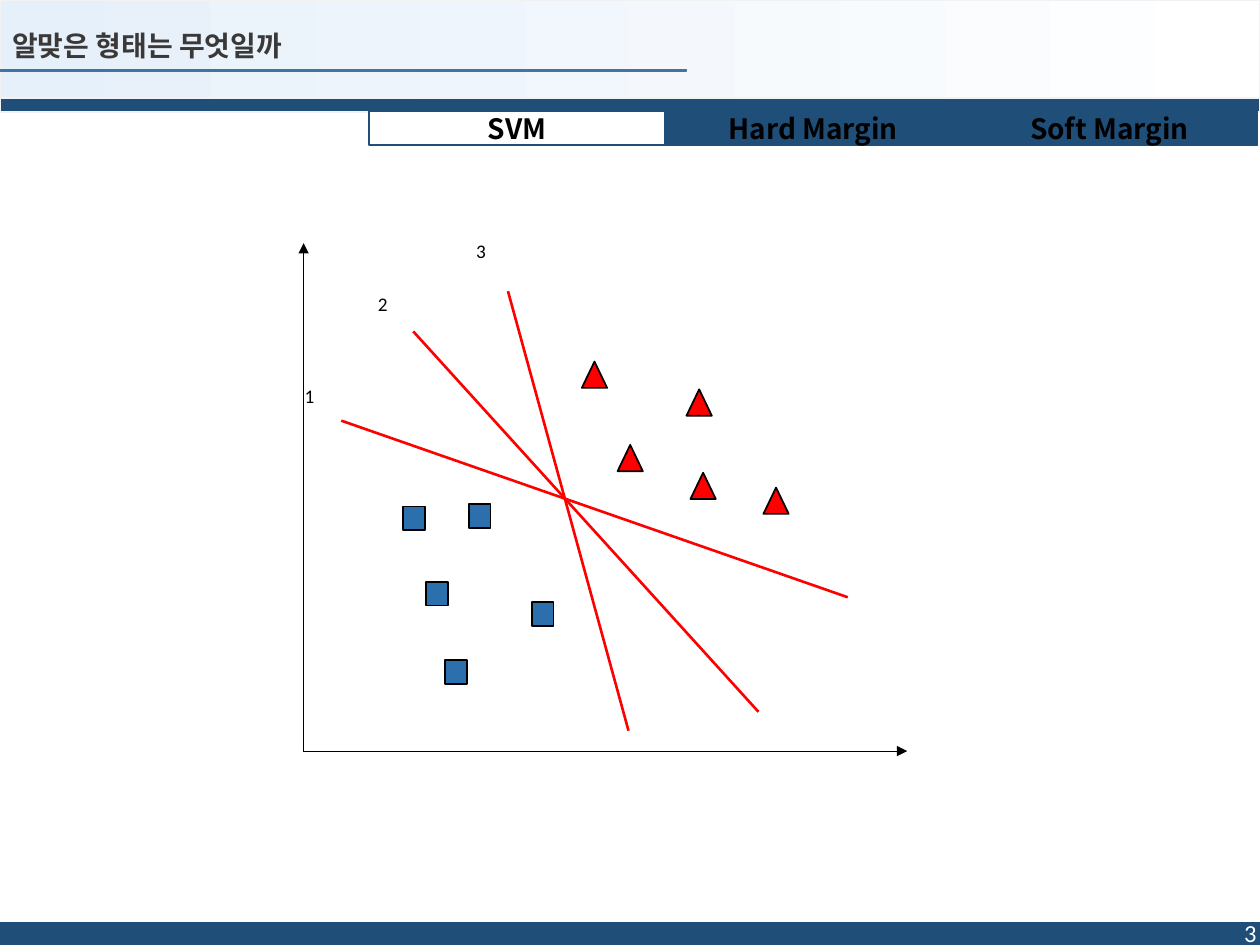
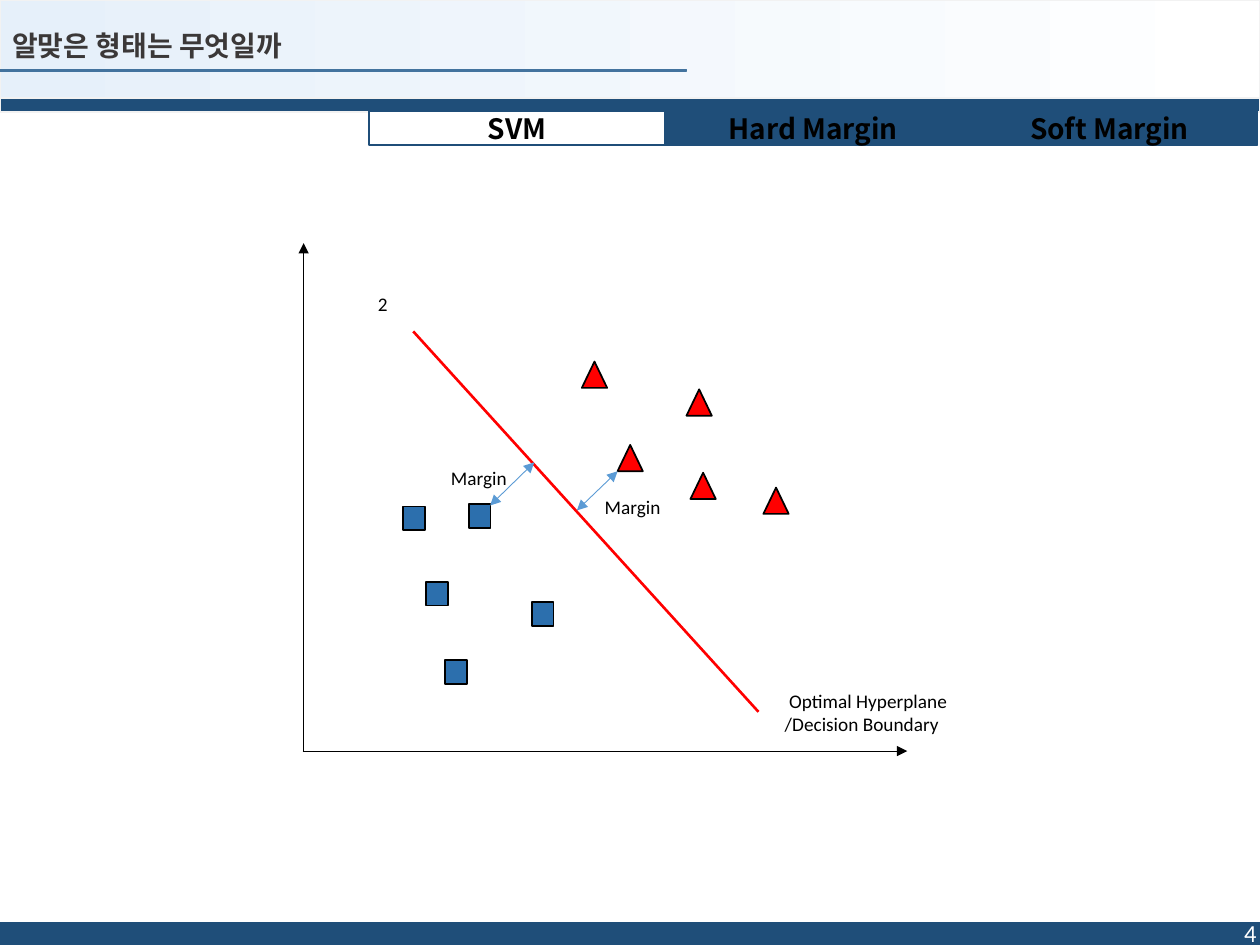
from lxml.etree import SubElement
from pptx import Presentation
from pptx.dml.color import RGBColor
from pptx.enum.shapes import MSO_CONNECTOR, MSO_SHAPE
from pptx.enum.text import MSO_ANCHOR, PP_ALIGN
from pptx.oxml.ns import qn
from pptx.util import Cm, Pt

COLORS = {
    "navy": "1F4E79", "pale": "E6F0FA", "edge": "F2F2F2", "white": "FFFFFF",
    "black": "000000", "title": "3B3838", "rule": "5B9BD5", "rule_edge": "43739E",
    "red": "FF0000", "square": "2C6FAD",
}
RGB = {name: RGBColor.from_string(value) for name, value in COLORS.items()}

TITLE = "알맞은 형태는 무엇일까"
TABS = ["SVM", "Hard Margin", "Soft Margin"]
ACTIVE_TAB = "SVM"
TAB_LEFT, TAB_TOP, TAB_W, TAB_H = 7.44, 2.24, 5.97, 0.69

TRIANGLES = [(11.73, 7.29), (12.45, 8.97), (13.92, 9.53), (15.39, 9.83), (13.84, 7.85)]
SQUARES = [(8.13, 10.21), (8.59, 11.73), (8.97, 13.31), (10.72, 12.14), (9.45, 10.16)]
AXES = [(6.1, 15.14, 18.29, 15.14), (6.12, 15.14, 6.12, 4.9)]
BOUNDARIES = {
    "1": (6.88, 8.48, 17.09, 12.04),
    "2": (8.33, 6.68, 15.29, 14.35),
    "3": (10.24, 5.87, 12.67, 14.73),
}
NUMBER_LABELS = {"1": (5.89, 7.62), "2": (7.37, 5.77), "3": (9.35, 4.7)}
MARGINS = [(9.88, 10.19, 10.77, 9.32), (11.63, 10.29, 12.45, 9.5)]
MARGIN_LABELS = [(8.84, 9.27), (11.94, 9.86)]

SLIDES = [
    {"number": 3, "boundaries": ["1", "2", "3"], "optimal": False},
    {"number": 4, "boundaries": ["2"], "optimal": True},
]


def add_box(s, kind, x, y, w, h, fill, line=None):
    sp = s.shapes.add_shape(kind, Cm(x), Cm(y), Cm(w), Cm(h))
    sp.shadow.inherit = False
    sp.fill.solid()
    sp.fill.fore_color.rgb = RGB[fill]
    if line:
        sp.line.color.rgb = RGB[line]
        sp.line.width = Pt(1)
    else:
        sp.line.fill.background()
    return sp


def add_line(s, ends, color, width, arrows=()):
    cx = s.shapes.add_connector(MSO_CONNECTOR.STRAIGHT, *[Cm(v) for v in ends])
    cx.line.color.rgb = RGB[color]
    cx.line.width = Pt(width)
    for arrow in arrows:
        SubElement(cx.line._get_or_add_ln(), qn(f"a:{arrow}"), type="triangle")
    SubElement(cx._element.spPr, qn("a:effectLst"))


prs = Presentation()
prs.slide_width, prs.slide_height = Cm(25.4), Cm(19.05)

for page in SLIDES:
    s = prs.slides.add_slide(prs.slide_layouts[6])

    header = add_box(s, MSO_SHAPE.RECTANGLE, 0, 0, 25.4, 1.98, "white", "edge")
    header.fill.gradient()
    header.fill.gradient_angle = 180
    for stop, color in zip(header.fill.gradient_stops, ["white", "pale"]):
        stop.color.rgb = RGB[color]
    add_box(s, MSO_SHAPE.RECTANGLE, 0, 18.59, 25.4, 0.46, "navy")
    add_box(s, MSO_SHAPE.RECTANGLE, 0, 1.98, 25.4, 0.28, "navy", "edge")
    add_box(s, MSO_SHAPE.RECTANGLE, 0, 1.4, 13.84, 0.03, "rule", "rule_edge")

    for i, tab in enumerate(TABS):
        fill = "white" if tab == ACTIVE_TAB else "navy"
        sp = add_box(s, MSO_SHAPE.RECTANGLE, TAB_LEFT + i * TAB_W, TAB_TOP,
                     TAB_W, TAB_H, fill, "navy")
        sp.text_frame.vertical_anchor = MSO_ANCHOR.MIDDLE
        p = sp.text_frame.paragraphs[0]
        p.text = tab
        p.alignment = PP_ALIGN.CENTER
        p.font.name, p.font.size, p.font.bold = "Noto Sans CJK KR", Pt(16), True
        p.font.color.rgb = RGB["black"]

    for x, y in TRIANGLES:
        add_box(s, MSO_SHAPE.ISOSCELES_TRIANGLE, x, y, 0.51, 0.53, "red", "black")
    for ends in AXES:
        add_line(s, ends, "black", 0.5, ["tailEnd"])
    for name in page["boundaries"]:
        add_line(s, BOUNDARIES[name], "red", 1.5)
    for x, y in SQUARES:
        add_box(s, MSO_SHAPE.RECTANGLE, x, y, 0.44, 0.48, "square", "black")

    labels = [(name, *NUMBER_LABELS[name], 0.76, 1.19) for name in page["boundaries"]]
    if page["optimal"]:
        for ends in MARGINS:
            add_line(s, ends, "rule", 0.5, ["headEnd", "tailEnd"])
        labels += [("Margin", x, y, 1.75, 0.74) for x, y in MARGIN_LABELS]
        labels.append(("Optimal Hyperplane\n/Decision Boundary", 15.57, 13.77, 6.07, 1.19))

    texts = [(*label, "Calibri", 11, "black") for label in labels]
    texts.append((TITLE, 0, 0.53, 13.61, 0.89, "Arial", 16, "title"))
    texts.append((str(page["number"]), 19.86, 18.29, 5.72, 1.02, "Calibri", 14, "white"))
    for text, x, y, w, h, font, size, color in texts:
        tf = s.shapes.add_textbox(Cm(x), Cm(y), Cm(w), Cm(h)).text_frame
        tf.word_wrap = True
        tf.text = text
        for p in tf.paragraphs:
            if p.text.startswith("Optimal"):
                p._p.get_or_add_pPr().set("marL", str(Cm(0.09)))
            p.font.name, p.font.size = font, Pt(size)
            p.font.color.rgb = RGB[color]
            if text == TITLE:
                p.font.bold = True
                p.line_spacing = 0.9
            elif color == "white":
                p.alignment = PP_ALIGN.RIGHT
                tf.vertical_anchor = MSO_ANCHOR.MIDDLE

prs.save("out.pptx")
